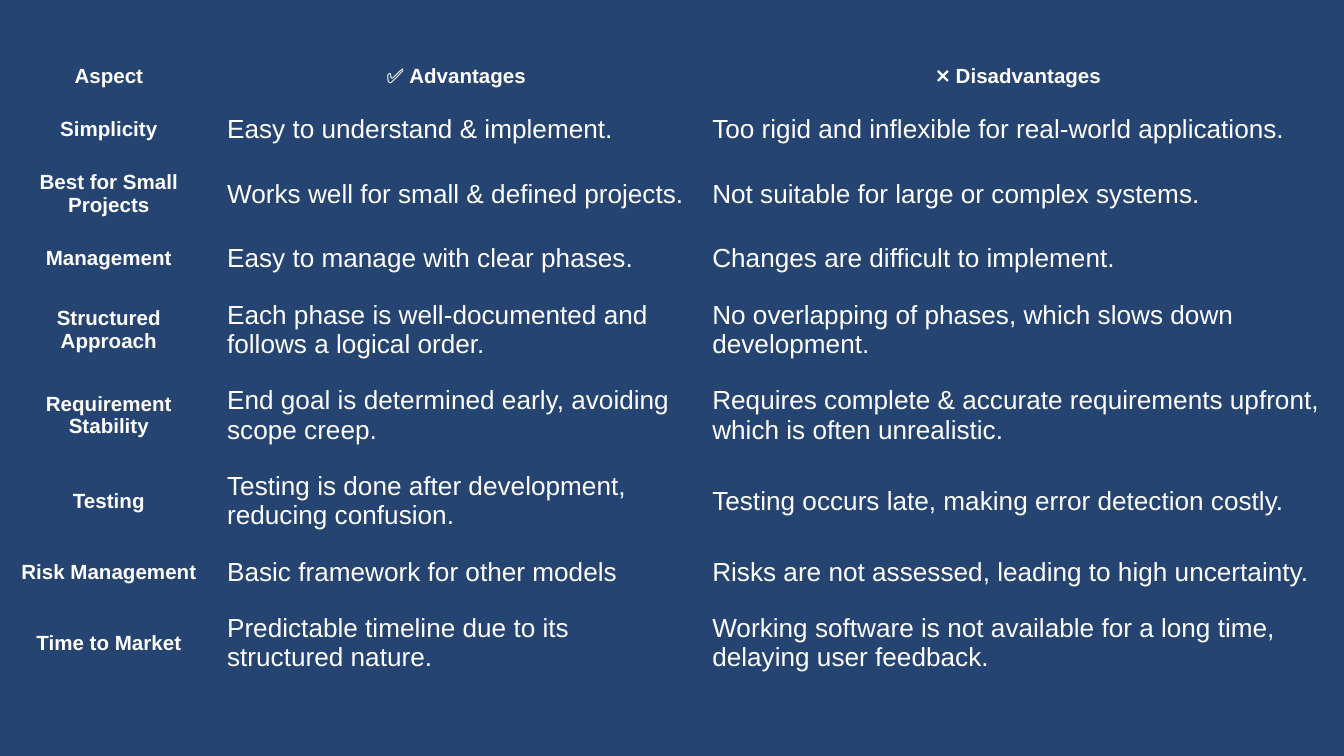
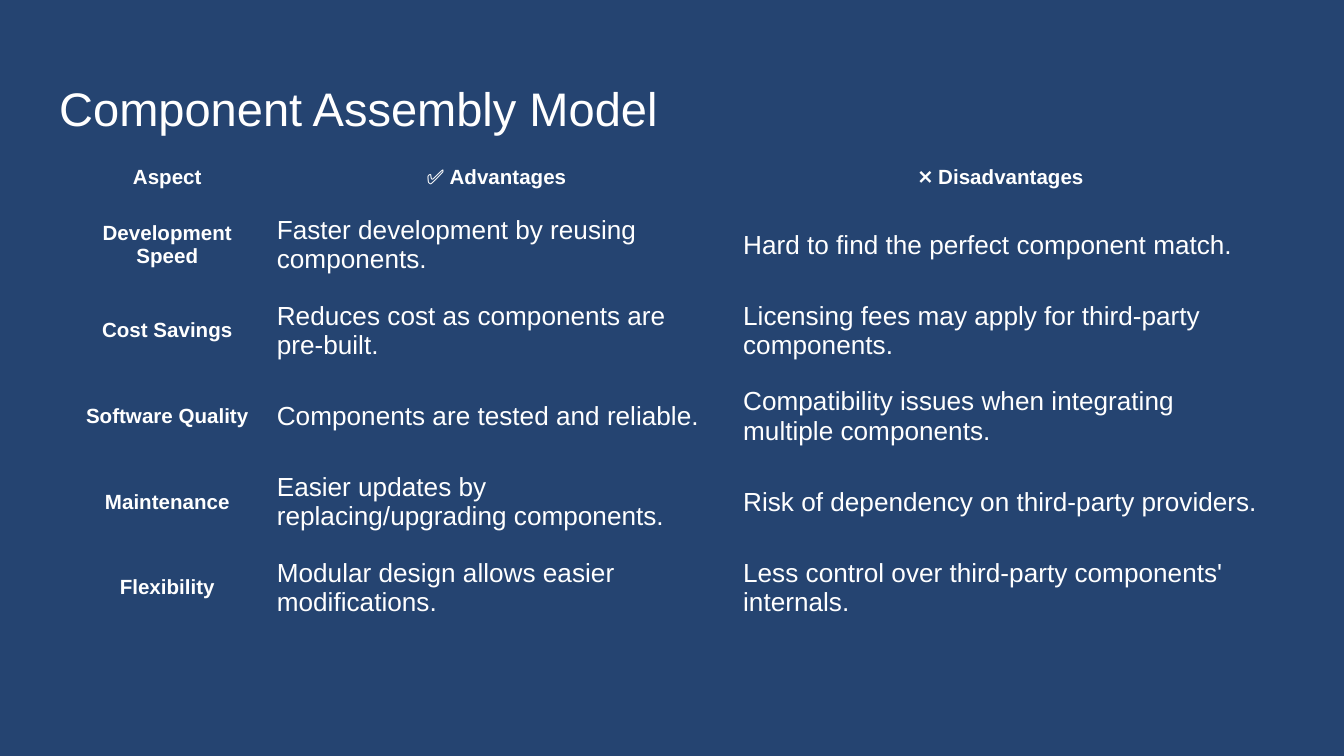
from pptx import Presentation, util as u
from pptx.dml.color import RGBColor
from pptx.enum import text
from pptx.oxml.ns import qn

NAVY = RGBColor(0x25, 0x44, 0x71)
WHITE = RGBColor(0xFF, 0xFF, 0xFF)
FONT = "Arial"
PLAIN = "{2D5ABB26-0587-4C30-8999-92F81FD0307C}"
LEFT, MID = text.PP_ALIGN.LEFT, text.PP_ALIGN.CENTER
HEAD = ("Aspect", "✅ Advantages", "❌ Disadvantages")

deck = Presentation()
deck.slide_width = u.Inches(10)
deck.slide_height = deck.slide_width * 9 // 16
back = deck.slide_master.background.fill
back.solid()
back.fore_color.rgb = NAVY


def share(part):
    return round(deck.slide_width * part / 100)


def write(frame, words, size=14, bold=False, align=LEFT, space=1.0):
    frame.word_wrap = True
    frame.text = words
    for para in frame.paragraphs:
        para.alignment = align
        para.line_spacing = space
        font = para.runs[0].font
        font.name, font.size, font.bold = FONT, u.Pt(size), bold
        font.color.rgb = WHITE


PAD = share(1)
plans = [
    (None, 0.3, 3.6, (15.6, 36.1, 47.6),
     (2.5, 2.1, 4.1, 2.1, 4.1, 4.1, 4.1, 2.1, 4.1), [
        ("Simplicity", "Easy to understand & implement.",
         "Too rigid and inflexible for real-world applications."),
        ("Best for Small Projects", "Works well for small & defined projects.",
         "Not suitable for large or complex systems."),
        ("Management", "Easy to manage with clear phases.",
         "Changes are difficult to implement."),
        ("Structured Approach",
         "Each phase is well-documented and follows a logical order.",
         "No overlapping of phases, which slows down development."),
        ("Requirement Stability",
         "End goal is determined early, avoiding scope creep.",
         "Requires complete & accurate requirements upfront, "
         "which is often unrealistic."),
        ("Testing", "Testing is done after development, reducing confusion.",
         "Testing occurs late, making error detection costly."),
        ("Risk Management", "Basic framework for other models",
         "Risks are not assessed, leading to high uncertainty."),
        ("Time to Market", "Predictable timeline due to its structured nature.",
         "Working software is not available for a long time, "
         "delaying user feedback."),
    ]),
    ("Component Assembly Model", 5.3, 11.1, (14.3, 34.7, 40.4),
     (2.5,) + (2.1,) * 5, [
        ("Development\nSpeed", "Faster development by reusing components.",
         "Hard to find the perfect component match."),
        ("Cost Savings", "Reduces cost as components are pre-built.",
         "Licensing fees may apply for third-party components."),
        ("Software Quality", "Components are tested and reliable.",
         "Compatibility issues when integrating multiple components."),
        ("Maintenance", "Easier updates by replacing/upgrading components.",
         "Risk of dependency on third-party providers."),
        ("Flexibility", "Modular design allows easier modifications.",
         "Less control over third-party components' internals."),
    ]),
]

for name, left, top, wides, highs, body in plans:
    slide = deck.slides.add_slide(deck.slide_layouts[5 if name else 6])
    if name:
        title = slide.shapes.title
        title.left, title.top = share(3.4), share(4.87)
        title.width, title.height = share(93.2), share(6.3)
        frame = title.text_frame
        frame.auto_size = text.MSO_AUTO_SIZE.NONE
        frame.vertical_anchor = text.MSO_ANCHOR.MIDDLE
        frame.margin_left = frame.margin_right = PAD
        frame.margin_top = frame.margin_bottom = PAD
        write(frame, name, size=25.2)

    rows = [HEAD] + body
    holder = slide.shapes.add_table(
        len(rows), len(HEAD), share(left), share(top),
        share(sum(wides)), share(sum(highs)))
    for style in holder.element.iter(qn("a:tableStyleId")):
        style.text = PLAIN
    table = holder.table
    table.first_row = table.horz_banding = False
    for col, wide in zip(table.columns, wides):
        col.width = share(wide)
    for r, (row, high) in enumerate(zip(rows, highs)):
        table.rows[r].height = share(high)
        for c, words in enumerate(row):
            cell = table.cell(r, c)
            cell.fill.background()
            cell.vertical_anchor = text.MSO_ANCHOR.MIDDLE
            cell.margin_left = cell.margin_right = PAD
            cell.margin_top = cell.margin_bottom = PAD
            label = r == 0 or c == 0
            write(cell.text_frame, words, size=11 if label else 14, bold=label,
                  align=MID if label else LEFT, space=1.15 if r == 0 else 1.0)

deck.save("out.pptx")
